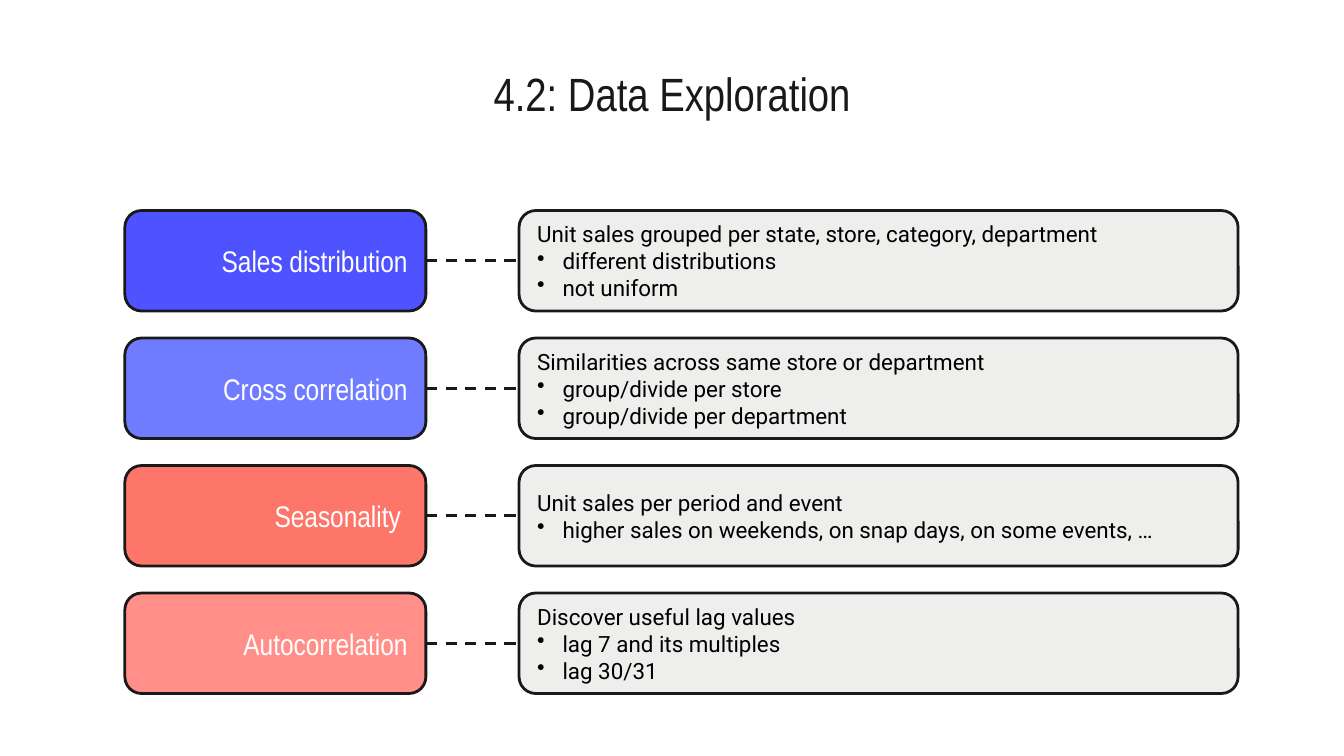
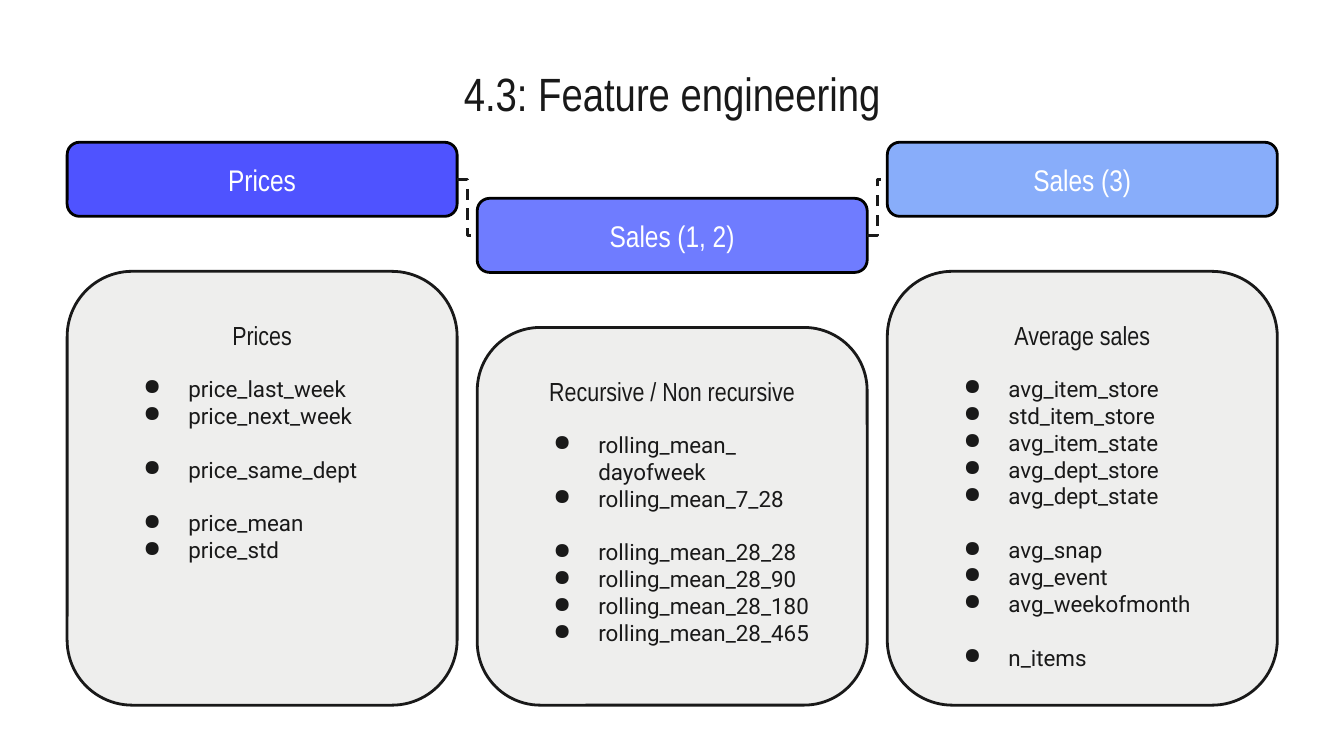
"""Build two slides on data exploration and feature engineering."""
from copy import deepcopy
from dataclasses import dataclass
from typing import Optional

from lxml.etree import SubElement
from pptx import Presentation
from pptx.dml.color import RGBColor as Rgb
from pptx.enum.dml import MSO_LINE_DASH_STYLE as Dash
from pptx.enum.shapes import MSO_AUTO_SHAPE_TYPE as Preset, MSO_CONNECTOR_TYPE as Link
from pptx.enum.text import MSO_ANCHOR as Anchor, MSO_AUTO_SIZE as Fit, PP_ALIGN as Align
from pptx.oxml.ns import qn
from pptx.util import Cm, Pt

COLORS = {
    "ink": "191919", "black": "000000", "white": "FFFFFF", "panel": "EEEEED",
    "indigo": "4F53FF", "periwinkle": "6F7CFF", "sky": "88ADFA",
    "coral": "FE766A", "salmon": "FF8F88",
}
FRAME = {
    "word_wrap": True, "auto_size": Fit.NONE,
    "margin_left": Cm(0.25), "margin_right": Cm(0.25),
    "margin_top": Cm(0.25), "margin_bottom": Cm(0.25),
}
HEADING_FONT, BODY_FONT = "Arial Narrow", "Roboto"
RIGHT_SITE, LEFT_SITE = 3, 1


@dataclass(frozen=True)
class Style:
    font: str
    size: float
    color: str
    align: Align = Align.LEFT


@dataclass(frozen=True)
class Bullet:
    symbol: str
    margin: float
    hanging: float


@dataclass(frozen=True)
class Finding:
    label: str
    color: str
    summary: str
    points: tuple[str, ...]


@dataclass(frozen=True)
class FeatureSet:
    banner: str
    color: str
    heading: str
    groups: tuple[tuple[str, ...], ...]
    drop: float = 0
    list_height: float = 4.55


TITLE = Style(HEADING_FONT, 25, "ink", Align.CENTER)
LABEL = Style(HEADING_FONT, 16, "white", Align.RIGHT)
BANNER = Style(HEADING_FONT, 16, "white", Align.CENTER)
CARD_HEADING = Style(HEADING_FONT, 14, "ink", Align.CENTER)
DETAIL = Style(BODY_FONT, 12, "black")
FEATURE = Style(BODY_FONT, 12, "ink")
POINT_BULLET = Bullet("•", 0.48, 0.48)
FEATURE_BULLET = Bullet("●", 1.27, 0.85)
GROUP_GAP = Pt(14.4)

FINDINGS = (
    Finding("Sales distribution", "indigo",
            "Unit sales grouped per state, store, category, department",
            ("different distributions", "not uniform")),
    Finding("Cross correlation", "periwinkle",
            "Similarities across same store or department",
            ("group/divide per store", "group/divide per department")),
    Finding("Seasonality ", "coral", "Unit sales per period and event",
            ("higher sales on weekends, on snap days, on some events, …",)),
    Finding("Autocorrelation", "salmon", "Discover useful lag values",
            ("lag 7 and its multiples", "lag 30/31")),
)
FEATURE_SETS = (
    FeatureSet("Prices", "indigo", "Prices",
               (("price_last_week", "price_next_week"), ("price_same_dept",),
                ("price_mean", "price_std")), list_height=6.5),
    FeatureSet("Sales (1, 2)", "periwinkle", "Recursive / Non recursive",
               (("rolling_mean_\vdayofweek", "rolling_mean_7_28"),
                ("rolling_mean_28_28", "rolling_mean_28_90",
                 "rolling_mean_28_180", "rolling_mean_28_465")), drop=1.06),
    FeatureSet("Sales (3)", "sky", "Average sales",
               (("avg_item_store", "std_item_store", "avg_item_state",
                 "avg_dept_store", "avg_dept_state"),
                ("avg_snap", "avg_event", "avg_weekofmonth"), ("n_items",))),
)


def rgb(name: str) -> Rgb:
    """Return a palette colour."""
    return Rgb.from_string(COLORS[name])


def set_frame(frame, anchor: Anchor) -> None:
    """Apply the shared text frame settings."""
    for attribute, value in (FRAME | {"vertical_anchor": anchor}).items():
        setattr(frame, attribute, value)


def write(paragraph, text: str, style: Style, bullet: Optional[Bullet] = None) -> None:
    """Fill one paragraph with styled text and an optional bullet."""
    paragraph.text = text
    paragraph.alignment = style.align
    if bullet:
        properties = paragraph._p.get_or_add_pPr()
        properties.set("marL", str(Cm(bullet.margin)))
        properties.set("indent", str(-Cm(bullet.hanging)))
        tint = SubElement(properties, qn("a:buClr"))
        SubElement(tint, qn("a:srgbClr"), val=COLORS[style.color])
        SubElement(properties, qn("a:buChar"), char=bullet.symbol)
    for run in paragraph.runs:
        for attribute, value in {"name": style.font, "size": Pt(style.size)}.items():
            setattr(run.font, attribute, value)
        run.font.color.rgb = rgb(style.color)
    for line_break in paragraph._p.findall(qn("a:br")):
        line_break.append(deepcopy(paragraph.runs[0]._r.rPr))


def add_titled_slide(deck, text: str):
    """Add a title-only slide with its formatted title."""
    slide = deck.slides.add_slide(deck.slide_layouts[5])
    title = slide.shapes.title
    place = {"left": 2.0, "top": 0.97, "width": 21.4, "height": 1.4}
    for attribute, value in place.items():
        setattr(title, attribute, Cm(value))
    set_frame(title.text_frame, Anchor.TOP)
    write(title.text_frame.paragraphs[0], text, TITLE)
    return slide


def add_panel(slide, left: float, top: float, width: float, height: float,
              fill: str, outline: str = "ink"):
    """Add a rounded, outlined panel."""
    panel = slide.shapes.add_shape(
        Preset.ROUNDED_RECTANGLE, Cm(left), Cm(top), Cm(width), Cm(height))
    panel.shadow.inherit = False
    panel.adjustments[0] = 0.167
    panel.fill.solid()
    panel.fill.fore_color.rgb = rgb(fill)
    panel.line.color.rgb = rgb(outline)
    panel.line.width = Pt(1.5)
    set_frame(panel.text_frame, Anchor.MIDDLE)
    return panel


def add_text_area(slide, left: float, top: float, width: float, height: float,
                  anchor: Anchor):
    """Add a text box and return its frame."""
    frame = slide.shapes.add_textbox(Cm(left), Cm(top), Cm(width), Cm(height)).text_frame
    set_frame(frame, anchor)
    return frame


def link(slide, kind: Link, source, target) -> None:
    """Join the right side of one panel to the left side of the next."""
    connector = slide.shapes.add_connector(kind, 0, 0, 0, 0)
    connector.begin_connect(source, RIGHT_SITE)
    connector.end_connect(target, LEFT_SITE)
    connector.line.color.rgb = rgb("ink")
    connector.line.width = Pt(1.5)
    connector.line.dash_style = Dash.DASH
    SubElement(connector._element.spPr, qn("a:effectLst"))


def add_finding(slide, finding: Finding, top: float) -> None:
    """Draw one label with its linked details."""
    height = 1.9
    label = add_panel(slide, 2.36, top, 5.69, height, finding.color)
    write(label.text_frame.paragraphs[0], finding.label, LABEL)
    details = add_panel(slide, 9.81, top, 13.59, height, "panel")
    write(details.text_frame.paragraphs[0], finding.summary, DETAIL)
    for point in finding.points:
        write(details.text_frame.add_paragraph(), point, DETAIL, POINT_BULLET)
    link(slide, Link.STRAIGHT, label, details)


def add_feature_set(slide, features: FeatureSet, left: float):
    """Draw one banner above its card and return the banner."""
    width, card_bottom, inset = 7.37, 13.33, 0.77
    banner_top = 2.69 + features.drop
    card_top = banner_top + 2.44
    heading_top, text_left, text_width = card_top + 0.69, left + inset, width - 2 * inset
    add_panel(slide, left, card_top, width, card_bottom - card_top, "panel")
    heading = add_text_area(slide, text_left, heading_top, text_width, 1.02, Anchor.MIDDLE)
    write(heading.paragraphs[0], features.heading, CARD_HEADING)
    names = add_text_area(slide, text_left, heading_top + 1.02, text_width,
                          features.list_height, Anchor.TOP)
    for group_index, group in enumerate(features.groups):
        for index, name in enumerate(group):
            first = group_index == index == 0
            paragraph = names.paragraphs[0] if first else names.add_paragraph()
            write(paragraph, name, FEATURE, FEATURE_BULLET)
            if index == 0 and not first:
                paragraph.space_before = GROUP_GAP
    banner = add_panel(slide, left, banner_top, width, 1.4, features.color, "black")
    write(banner.text_frame.paragraphs[0], features.banner, BANNER)
    return banner


def main() -> None:
    """Build and save the deck."""
    deck = Presentation()
    deck.slide_width, deck.slide_height = Cm(25.4), Cm(14.29)

    exploration = add_titled_slide(deck, "4.2: Data Exploration")
    for row, finding in enumerate(FINDINGS):
        add_finding(exploration, finding, 3.98 + row * 2.41)

    engineering = add_titled_slide(deck, "4.3: Feature engineering")
    banners = [add_feature_set(engineering, features, 1.27 + column * 7.75)
               for column, features in enumerate(FEATURE_SETS)]
    for source, target in zip(banners, banners[1:]):
        link(engineering, Link.ELBOW, source, target)

    deck.save("out.pptx")


if __name__ == "__main__":
    main()
